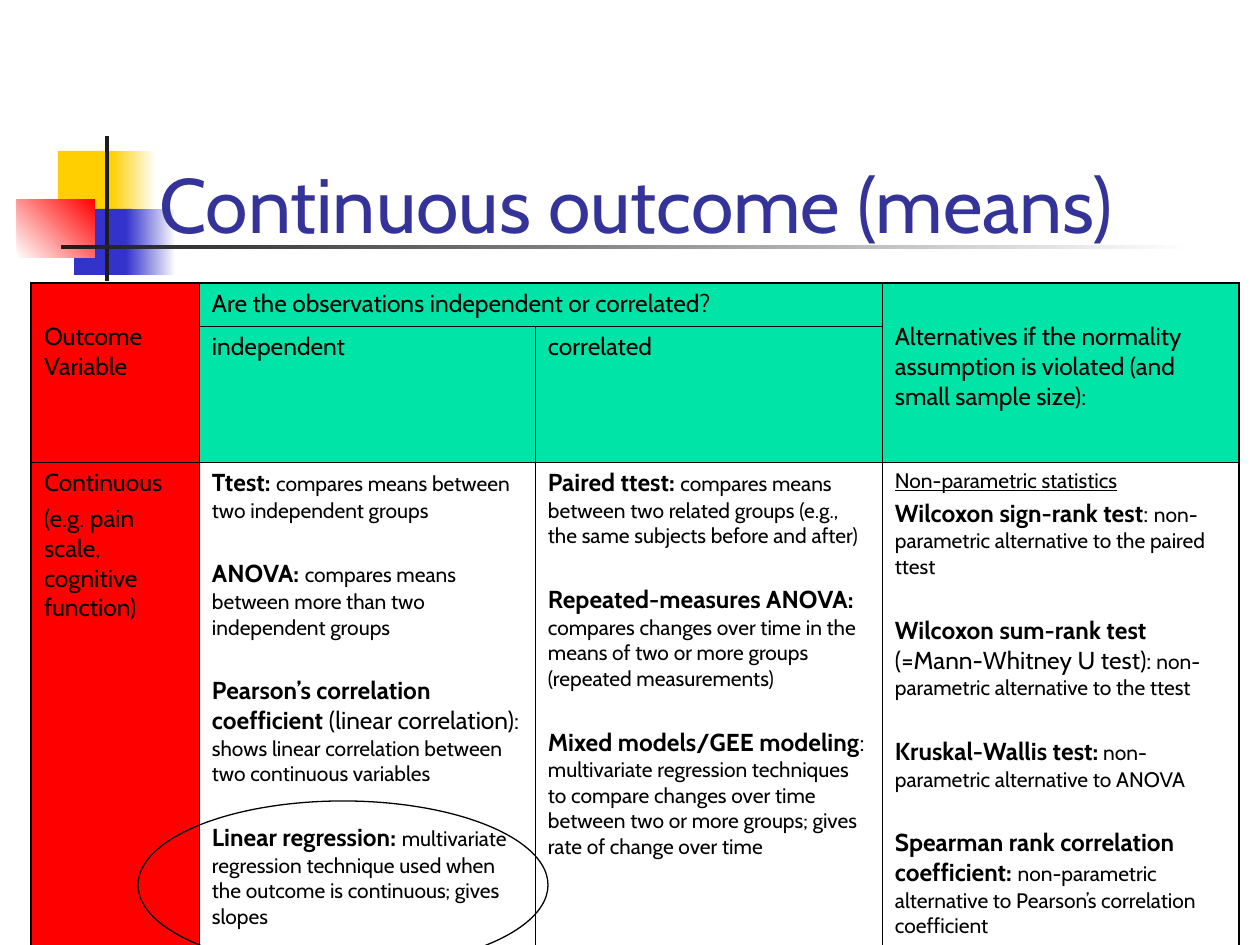
from lxml.etree import SubElement
from pptx import Presentation
from pptx.dml.color import RGBColor
from pptx.enum.shapes import MSO_SHAPE
from pptx.enum.text import MSO_ANCHOR, PP_ALIGN
from pptx.oxml import parse_xml
from pptx.oxml.ns import nsdecls, qn
from pptx.util import Emu, Pt

FONT = "Cabin"
COLORS = {
    "title": "333399", "ink": "000000", "paper": "FFFFFF", "bar": "1C1C1C",
    "yellow": "FFCF01", "blue": "3333CC", "red": "FF0000", "green": "00E4A8",
}
# Text styles: size, bold, underline
STYLES = {
    "term": (14, True, False),
    "plain": (14, False, False),
    "note": (12, False, False),
    "under": (12, False, True),
}
NEAR, LABEL_GAP, APART = 3, 3.5, 20.5  # space before a paragraph, points
INNER, OUTER = 0.45, 1.08  # border widths, points


def px(length):
    return Emu(round(length * 914400 / 126))


def color(name):
    return RGBColor.from_string(COLORS[name])


class SlideBuilder:
    def __init__(self, deck):
        self.page = deck.slides.add_slide(deck.slide_layouts[5])

    def add_span(self, para, text, size, ink="ink", bold=False, underline=False):
        span = para.add_run()
        span.text = text
        font = span.font
        font.name, font.size = FONT, Pt(size)
        font.bold, font.underline = bold, underline
        font.color.rgb = color(ink)

    def title(self, text, left, top, width, height):
        box = self.page.shapes.title
        box.left, box.top, box.width, box.height = map(px, (left, top, width, height))
        box.element.getparent().append(box.element)  # in front of the ornament
        frame = box.text_frame
        frame.word_wrap = True
        frame.vertical_anchor = MSO_ANCHOR.BOTTOM
        para = frame.paragraphs[0]
        para.alignment = PP_ALIGN.LEFT
        self.add_span(para, text, 44, "title")

    def shape(self, kind, left, top, width, height):
        shape = self.page.shapes.add_shape(kind, *map(px, (left, top, width, height)))
        shape.shadow.inherit = False
        return shape

    def block(self, place, start, end=None, angle=0):
        shape = self.shape(MSO_SHAPE.RECTANGLE, *place)
        shape.line.fill.background()
        if end is None:
            shape.fill.solid()
            shape.fill.fore_color.rgb = color(start)
            return
        shape.fill.gradient()
        shape.fill.gradient_angle = angle
        for stop, name in zip(shape.fill.gradient_stops, (start, end)):
            stop.color.rgb = color(name)

    def ring(self, left, top, width, height):
        shape = self.shape(MSO_SHAPE.OVAL, left, top, width, height)
        shape.fill.background()
        shape.line.color.rgb = color("ink")
        shape.line.width = Pt(0.75)

    def table(self, left, top, widths, heights):
        frame = self.page.shapes.add_table(
            len(heights), len(widths), px(left), px(top),
            px(sum(widths)), px(sum(heights)))
        table = frame.table
        table.first_row = table.horz_banding = False
        for column, width in zip(table.columns, widths):
            column.width = px(width)
        for row, height in zip(table.rows, heights):
            row.height = px(height)
        last_row, last_column = len(heights) - 1, len(widths) - 1
        for r in range(len(heights)):
            for c in range(len(widths)):
                edges = {"L": c == 0, "R": c == last_column,
                         "T": r == 0, "B": r == last_row}
                self.borders(table.cell(r, c), edges)
        return table

    def borders(self, cell, edges):
        properties = cell._tc.get_or_add_tcPr()
        for index, (side, outside) in enumerate(edges.items()):
            width = Pt(OUTER if outside else INNER)
            line = parse_xml(f'<a:ln{side} {nsdecls("a")} w="{int(width)}"/>')
            fill = SubElement(line, qn("a:solidFill"))
            SubElement(fill, qn("a:srgbClr")).set("val", COLORS["ink"])
            properties.insert(index, line)

    def cell(self, cell, paragraphs, fill=None, inset=6):
        cell.margin_left = cell.margin_right = px(13)
        cell.margin_top, cell.margin_bottom = px(inset), px(6)
        if fill:
            cell.fill.solid()
            cell.fill.fore_color.rgb = color(fill)
        else:
            cell.fill.background()
        frame = cell.text_frame
        for index, (gap, *spans) in enumerate(paragraphs):
            para = frame.add_paragraph() if index else frame.paragraphs[0]
            para.space_before = Pt(gap)
            for style, text in spans:
                size, bold, underline = STYLES[style]
                self.add_span(para, text, size, bold=bold, underline=underline)


# Table wording: (gap, (style, text), ...) for each paragraph
INDEPENDENT = [
    (0, ("term", "Ttest: "), ("note", "compares means between two independent groups")),
    (APART, ("term", "ANOVA: "),
     ("note", "compares means between more than two independent groups")),
    (APART, ("term", "Pearson’s correlation coefficient"),
     ("plain", " (linear correlation): "),
     ("note", "shows linear correlation between two continuous variables")),
    (APART, ("term", "Linear regression: "),
     ("note", "multivariate regression technique used when the outcome is "
              "continuous; gives slopes")),
]
CORRELATED = [
    (0, ("term", "Paired ttest: "),
     ("note", "compares means between two related groups (e.g., the same "
              "subjects before and after)")),
    (APART, ("term", "Repeated-measures ANOVA: "),
     ("note", "compares changes over time in the means of two or more groups "
              "(repeated measurements)")),
    (APART, ("term", "Mixed models/GEE modeling"), ("plain", ": "),
     ("note", "multivariate regression techniques to compare changes over time "
              "between two or more groups; gives rate of change over time")),
]
ALTERNATIVES = [
    (0, ("under", "Non-parametric statistics")),
    (NEAR, ("term", "Wilcoxon sign-rank test"), ("plain", ": "),
     ("note", "non-parametric alternative to the paired ttest")),
    (APART, ("term", "Wilcoxon sum-rank test"), ("plain", " (=Mann-Whitney U test):"),
     ("note", " non-parametric alternative to the ttest")),
    (APART, ("term", "Kruskal-Wallis test:"),
     ("note", " non-parametric alternative to ANOVA")),
    (APART, ("term", "Spearman rank correlation coefficient: "),
     ("note", "non-parametric alternative to Pearson’s correlation coefficient")),
]
OUTCOME = [
    (0, ("plain", "Continuous")),
    (LABEL_GAP, ("plain", "(e.g. pain scale, cognitive function)")),
]


def label(text):
    return [(0, ("plain", text))]


def main():
    deck = Presentation()
    deck.slide_width, deck.slide_height = px(1260), px(945)
    slide = SlideBuilder(deck)

    # Ornament beside the title
    slide.block((58, 151, 60, 66), "yellow")
    slide.block((111, 151, 45, 66), "yellow", "paper")
    slide.block((74, 209, 58, 66), "blue")
    slide.block((126, 209, 50, 66), "blue", "paper")
    slide.block((17, 199, 78, 59), "paper", "red", angle=45)
    slide.block((105, 136, 4, 145), "bar")
    slide.block((61, 245, 1134, 4), "bar", "paper")

    # Title
    slide.title("Continuous outcome (means)", 147, 53, 1074, 202)

    # Table of tests
    table = slide.table(31, 283, (168, 336, 347, 357), (43, 136, 548))
    for start, end in (((0, 0), (1, 0)), ((0, 1), (0, 2)), ((0, 3), (1, 3))):
        table.cell(*start).merge(table.cell(*end))
    slide.cell(table.cell(0, 0), label("Outcome Variable"), "red", inset=39)
    slide.cell(table.cell(0, 1),
               label("Are the observations independent or correlated?"), "green")
    slide.cell(table.cell(0, 3),
               label("Alternatives if the normality assumption is violated "
                     "(and small sample size):"), "green", inset=39)
    slide.cell(table.cell(1, 1), label("independent"), "green")
    slide.cell(table.cell(1, 2), label("correlated"), "green")
    slide.cell(table.cell(2, 0), OUTCOME, "red")
    for column, tests in enumerate((INDEPENDENT, CORRELATED, ALTERNATIVES), 1):
        slide.cell(table.cell(2, column), tests)

    # Ring around linear regression
    slide.ring(138, 801, 410, 168)

    deck.save("out.pptx")


if __name__ == "__main__":
    main()
